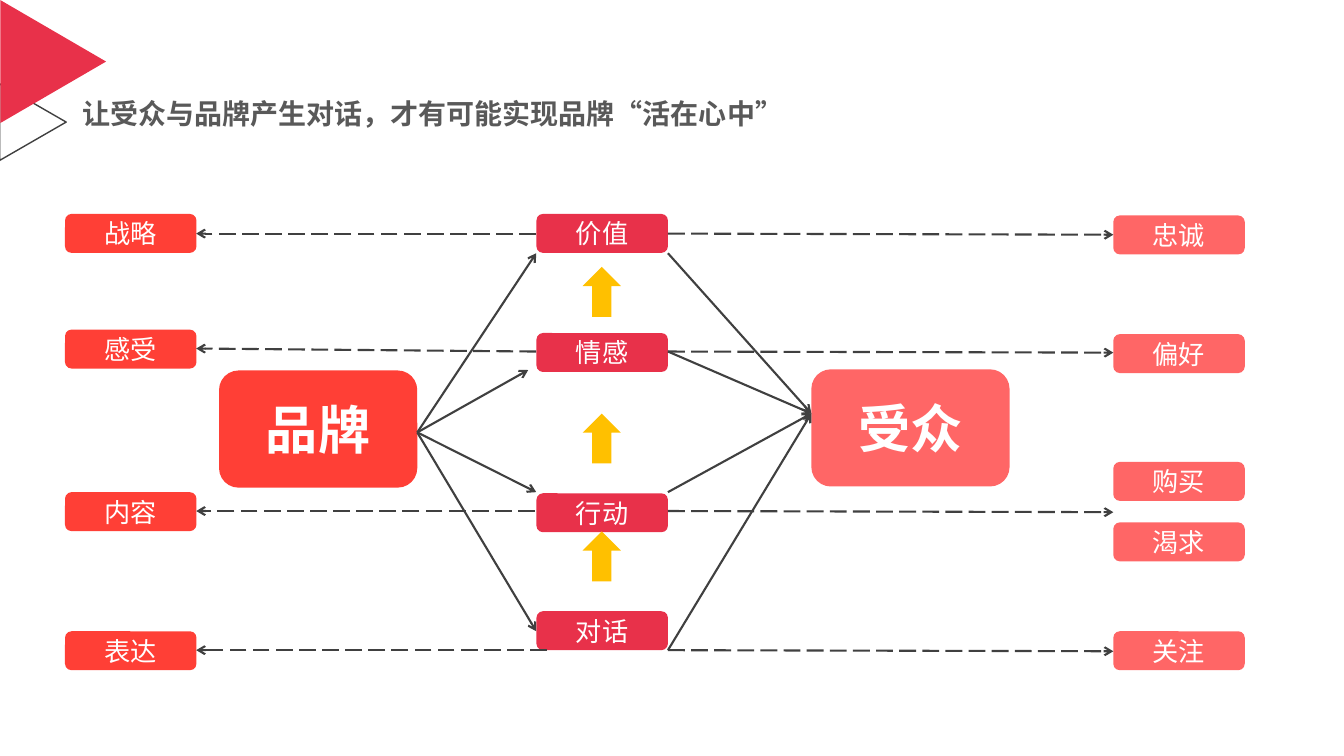
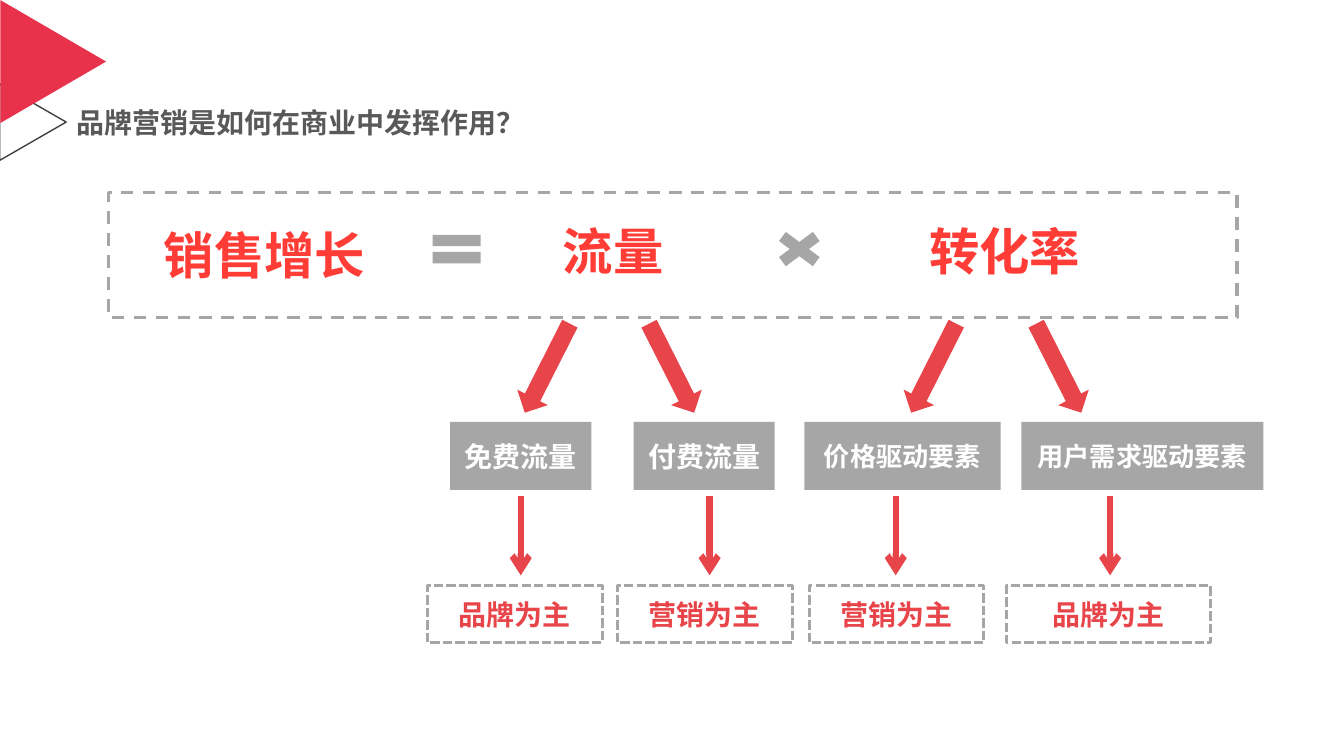
"""Build two slides on brand dialogue and on how brand marketing drives sales."""
import lxml.etree
import pptx
import pptx.dml.color
import pptx.enum.dml
import pptx.enum.shapes
import pptx.enum.text
import pptx.oxml.ns
import pptx.util

FONT = "Noto Sans CJK SC"
CRIMSON, RED, CORAL, BRICK = "E8314A", "FF3F36", "FF6666", "E8454A"
FORMULA_RED, AMBER = "FF3D36", "FFC000"
DARK, TITLE_GRAY, GRAY, WHITE = "404040", "595959", "A6A6A6", "FFFFFF"
SHAPES = pptx.enum.shapes.MSO_SHAPE
DASHES = pptx.enum.dml.MSO_LINE
ALIGN = pptx.enum.text.PP_ALIGN
ANCHOR = pptx.enum.text.MSO_ANCHOR
color = pptx.dml.color.RGBColor.from_string
tag = pptx.oxml.ns.qn

presentation = pptx.Presentation()
presentation.slide_width = pptx.util.Inches(13.34)
presentation.slide_height = pptx.util.Inches(7.5)
column = presentation.slide_width / 100
row = presentation.slide_height / 100


def grid(left, top, width, height):
    """Turn hundredths of the slide's width and height into lengths."""
    return [round(share * unit) for share, unit in zip((left, top, width, height), (column, row) * 2)]


def dress(shape, fill=None, line=None, weight=1, dash=None,
          text=None, size=18.7, ink=WHITE, bold=False, align=ALIGN.CENTER):
    """Give a shape its fill, outline and text."""
    shape.shadow.inherit = False
    if fill:
        shape.fill.solid()
        shape.fill.fore_color.rgb = color(fill)
    else:
        shape.fill.background()
    if line:
        shape.line.color.rgb = color(line)
        shape.line.width = pptx.util.Pt(weight)
        shape.line.dash_style = dash
    else:
        shape.line.fill.background()
    if text:
        shape.text_frame.text = text
        shape.text_frame.vertical_anchor = ANCHOR.MIDDLE
        paragraph = shape.text_frame.paragraphs[0]
        paragraph.alignment = align
        paragraph.font.name = FONT
        paragraph.font.size = pptx.util.Pt(size)
        paragraph.font.bold = bold
        paragraph.font.color.rgb = color(ink)
        for properties in shape.element.iter(tag("a:defRPr")):
            lxml.etree.SubElement(properties, tag("a:ea"), typeface=FONT)
    return shape


layout = presentation.slide_layouts[5]
slides = []
for title_text, place in (
    ("让受众与品牌产生对话，才有可能实现品牌“活在心中”", (5.75, 12.5, 53.3, 5.5)),
    ("品牌营销是如何在商业中发挥作用？", (5.3, 13.75, 34.4, 5.5)),
):
    slide = presentation.slides.add_slide(layout)
    title = slide.shapes.title
    title.left, title.top, title.width, title.height = grid(*place)
    dress(title, text=title_text, size=20, ink=TITLE_GRAY, bold=True, align=ALIGN.LEFT)
    frame = title.text_frame
    frame.word_wrap = False
    frame.auto_size = pptx.enum.text.MSO_AUTO_SIZE.NONE
    frame.margin_left = frame.margin_right = pptx.util.Inches(0.05)
    frame.margin_top = frame.margin_bottom = pptx.util.Inches(0.05)
    frame.paragraphs[0].line_spacing = 0.9
    slides.append(slide)
dialogue_slide, growth_slide = slides

for number, (place, fill, line) in enumerate((
    ((-0.4, 11.75, 5.7, 8.8), None, DARK),
    ((-0.62, 1.15, 9.15, 14), CRIMSON, None),
)):
    triangle = dialogue_slide.shapes.add_shape(SHAPES.ISOSCELES_TRIANGLE, *grid(*place))
    dress(triangle, fill, line).rotation = 90
    triangle.element.find(".//" + tag("p:cNvPr")).set("id", str(20 + number))
    layout.shapes.element.append(triangle.element)

for left, top, fill, text in ((16.3, 49, RED, "品牌"), (60.37, 48.85, CORAL, "受众")):
    block = dialogue_slide.shapes.add_shape(SHAPES.ROUNDED_RECTANGLE, *grid(left, top, 14.75, 15.5))
    dress(block, fill, text=text, size=37.3, bold=True)

label_columns = (
    (39.92, CRIMSON, (("价值", 28.3), ("情感", 44.05), ("行动", 65.25), ("对话", 80.85))),
    (4.84, RED, (("战略", 28.3), ("感受", 43.6), ("内容", 65.1), ("表达", 83.5))),
    (82.84, CORAL, (("忠诚", 28.5), ("偏好", 44.2), ("购买", 61.1), ("渴求", 69.1), ("关注", 83.5))),
)
for left, fill, labels in label_columns:
    for text, top in labels:
        label = dialogue_slide.shapes.add_shape(
            SHAPES.ROUNDED_RECTANGLE, *grid(left, top, 9.78, 5.15))
        dress(label, fill, text=text)

for top in (35.3, 54.7, 70.3):
    dress(dialogue_slide.shapes.add_shape(SHAPES.UP_ARROW, *grid(43.35, top, 2.85, 6.6)), AMBER)

connectors = []
for end in ((39.9, 33.5), (39.3, 48.95), (39.9, 65.1), (39.9, 83.5)):
    connectors.append((dialogue_slide, (31.05, 57.2, *end), DARK, 1.5, None))
for top in (33.5, 46.5, 65.1, 86):
    connectors.append((dialogue_slide, (49.7, top, 60.37, 54.7), DARK, 1.5, None))
for start, top, left_top in ((39.9, 30.9, 30.9), (39.9, 46.5, 46.1), (39.8, 67.6, 67.6), (40.7, 86, 86)):
    for ends in ((start, top, 14.6, left_top), (49.7, top, 82.84, top + 0.15)):
        connectors.append((dialogue_slide, ends, DARK, 1.5, DASHES.LONG_DASH))

for left, top, width, text in (
    (41.15, 28.4, 9.1, "流量"), (68.4, 28.4, 12.9, "转化率"), (11.45, 29.05, 16.65, "销售增长"),
):
    term = growth_slide.shapes.add_textbox(*grid(left, top, width, 9.45))
    dress(term, text=text, size=36, ink=FORMULA_RED, bold=True, align=ALIGN.LEFT)
    term.text_frame.word_wrap = False
    term.text_frame.vertical_anchor = ANCHOR.TOP

for kind, left in ((SHAPES.MATH_EQUAL, 31.55), (SHAPES.MATH_MULTIPLY, 57.05)):
    dress(growth_slide.shapes.add_shape(kind, *grid(left, 29.75, 4.85, 6.4)), GRAY)

formula_frame = growth_slide.shapes.add_shape(SHAPES.RECTANGLE, *grid(8.05, 25.5, 84, 16.5))
dress(formula_frame, line=GRAY, weight=2.25, dash=DASHES.DASH)

drivers = (
    (39.45, 26.9, "免费流量", 20, 33.5, 10.5, 38.75, "品牌为主", 31.8, 13),
    (48.7, -26.9, "付费流量", 20, 47.15, 10.5, 52.8, "营销为主", 45.95, 13),
    (68.2, 26.9, "价格驱动要素", 18.7, 59.85, 14.6, 66.65, "营销为主", 60.2, 13),
    (77.5, -26.9, "用户需求驱动要素", 18.7, 76, 18, 82.6, "品牌为主", 74.9, 15.2),
)
for (arrow_left, tilt, driver, size, driver_left, driver_width,
     center, focus, focus_left, focus_width) in drivers:
    arrow = growth_slide.shapes.add_shape(SHAPES.DOWN_ARROW, *grid(arrow_left, 42.1, 2.55, 13.2))
    dress(arrow, BRICK).rotation = tilt
    driver_box = growth_slide.shapes.add_shape(
        SHAPES.RECTANGLE, *grid(driver_left, 55.8, driver_width, 9))
    dress(driver_box, GRAY, text=driver, size=size, bold=True)
    focus_box = growth_slide.shapes.add_shape(
        SHAPES.RECTANGLE, *grid(focus_left, 77.5, focus_width, 7.5))
    dress(focus_box, line=GRAY, weight=2.25, dash=DASHES.SQUARE_DOT,
          text=focus, size=20, ink=BRICK, bold=True)
    connectors.append((growth_slide, (center, 65.6, center, 76.1), BRICK, 4.5, None))

for slide, ends, ink, weight, dash in connectors:
    connector = slide.shapes.add_connector(
        pptx.enum.shapes.MSO_CONNECTOR.STRAIGHT, *grid(*ends))
    connector.line.color.rgb = color(ink)
    connector.line.width = pptx.util.Pt(weight)
    connector.line.dash_style = dash
    properties = connector.element.find(tag("p:spPr"))
    lxml.etree.SubElement(properties.find(tag("a:ln")), tag("a:tailEnd"), type="arrow")
    lxml.etree.SubElement(properties, tag("a:effectLst"))

presentation.save("out.pptx")
